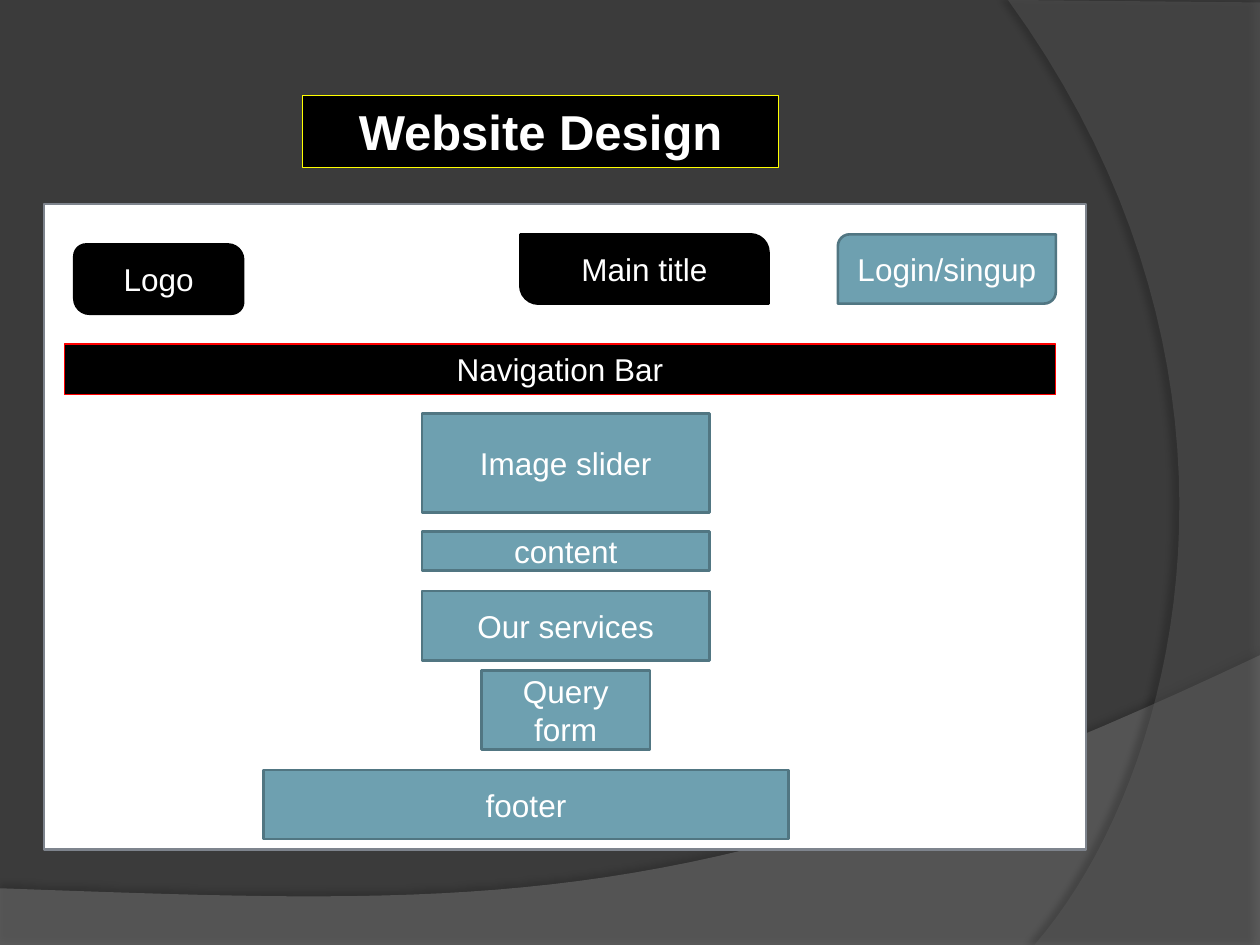
from lxml.etree import SubElement
from pptx import Presentation
from pptx.dml.color import RGBColor
from pptx.enum.shapes import MSO_SHAPE as Kind
from pptx.enum.text import MSO_ANCHOR as Anchor, PP_ALIGN as Align
from pptx.oxml.ns import qn
from pptx.util import Inches, Pt

BLACK, WHITE, TEAL, EDGE = "000000", "FFFFFF", "6EA0B0", "517682"


def paint(color, value):
    color.rgb = RGBColor.from_string(value)


def write(shape, text, size=18, bold=False, color=WHITE, anchor=Anchor.MIDDLE):
    frame = shape.text_frame
    frame.word_wrap = True
    frame.vertical_anchor = anchor
    para = frame.paragraphs[0]
    para.alignment = Align.CENTER
    run = para.add_run()
    run.text = text
    run.font.name = "Arial"
    run.font.size = Pt(size)
    run.font.bold = bold
    paint(run.font.color, color)


def curve(start, one, two, end, steps=40):
    points = []
    for step in range(1, steps + 1):
        t = step / steps
        u = 1 - t
        points.append(tuple(
            u**3 * a + 3 * u * u * t * b + 3 * u * t * t * c + t**3 * d
            for a, b, c, d in zip(start, one, two, end)))
    return points


class Page:
    def __init__(self, deck, back):
        self.slide = deck.slides.add_slide(deck.slide_layouts[6])
        self.shapes = self.slide.shapes
        fill = self.slide.background.fill
        fill.solid()
        paint(fill.fore_color, back)

    def style(self, shape, fill):
        shape.shadow.inherit = False
        shape.fill.solid()
        paint(shape.fill.fore_color, fill)

    def box(self, x, y, w, h, text="", fill=TEAL, line=EDGE, width=1.5,
            kind=Kind.RECTANGLE, round=(), **form):
        shape = self.shapes.add_shape(kind, *map(Inches, (x, y, w, h)))
        self.style(shape, fill)
        paint(shape.line.color, line)
        shape.line.width = Pt(width)
        for index, value in enumerate(round):
            shape.adjustments[index] = value
        if text:
            write(shape, text, **form)

    def wave(self, points, fill, alpha, shade, blur, dist, angle):
        dots = [(Inches(x), Inches(y)) for x, y in points]
        path = self.shapes.build_freeform(*dots[0])
        path.add_line_segments(dots[1:], close=True)
        shape = path.convert_to_shape()
        self.style(shape, fill)
        shape.line.fill.background()
        props = shape.element.spPr
        tint = props.find(qn("a:solidFill"))[0]
        SubElement(tint, qn("a:alpha"), val=str(alpha * 1000))
        shadow = SubElement(
            props.find(qn("a:effectLst")), qn("a:outerShdw"),
            blurRad=str(Pt(blur)), dist=str(Pt(dist)),
            dir=str(angle * 60000), algn="ctr", rotWithShape="0")
        dark = SubElement(shadow, qn("a:srgbClr"), val=BLACK)
        SubElement(dark, qn("a:alpha"), val=str(shade * 1000))


def main():
    deck = Presentation()
    deck.slide_width, deck.slide_height = Inches(10), Inches(7.5)
    page = Page(deck, "3B3B3B")

    low = [(0, 7.05), (0, 7.51), (10, 7.51), (10, 5.2)]
    low += curve(low[-1], (5.59, 7.29), (3.91, 7.19), low[0])
    page.wave(low, "7F7F7F", 45, 35, 4, 3.5, 270)
    side = [(10, 0.02), (10, 7.5), (8.21, 7.5)]
    side += curve(side[-1], (9.35, 6.19), (10.18, 3), (8, 0))
    page.wave(side, "5E5E5E", 40, 45, 4, 4, 180)

    page.box(2.4, 0.76, 3.78, 0.57, "Website Design", BLACK, "FFFF00", 0.75,
             size=28, bold=True, anchor=Anchor.TOP)
    page.box(0.35, 1.62, 8.27, 5.12, fill=WHITE, line="7E848D")

    for x, y, w, text, fill, line, round in (
            (0.59, 1.94, 1.34, "Logo", BLACK, BLACK, (0.17, 0.22)),
            (4.13, 1.86, 1.97, "Main title", BLACK, BLACK, (0, 0.26)),
            (6.65, 1.86, 1.73, "Login/singup", TEAL, EDGE, (0.17, 0))):
        page.box(x, y, w, 0.55, text, fill, line,
                 kind=Kind.ROUND_2_DIAG_RECTANGLE, round=round)

    page.box(0.51, 2.73, 7.87, 0.4, "Navigation Bar", BLACK, "FF0000", 0.75,
             anchor=Anchor.TOP)

    for x, y, w, h, text in (
            (3.35, 3.28, 2.28, 0.79, "Image slider"),
            (3.35, 4.22, 2.28, 0.31, "content"),
            (3.35, 4.69, 2.28, 0.55, "Our services"),
            (3.82, 5.32, 1.34, 0.63, "Query form"),
            (2.09, 6.11, 4.17, 0.55, "footer")):
        page.box(x, y, w, h, text)

    deck.save("out.pptx")


if __name__ == "__main__":
    main()
